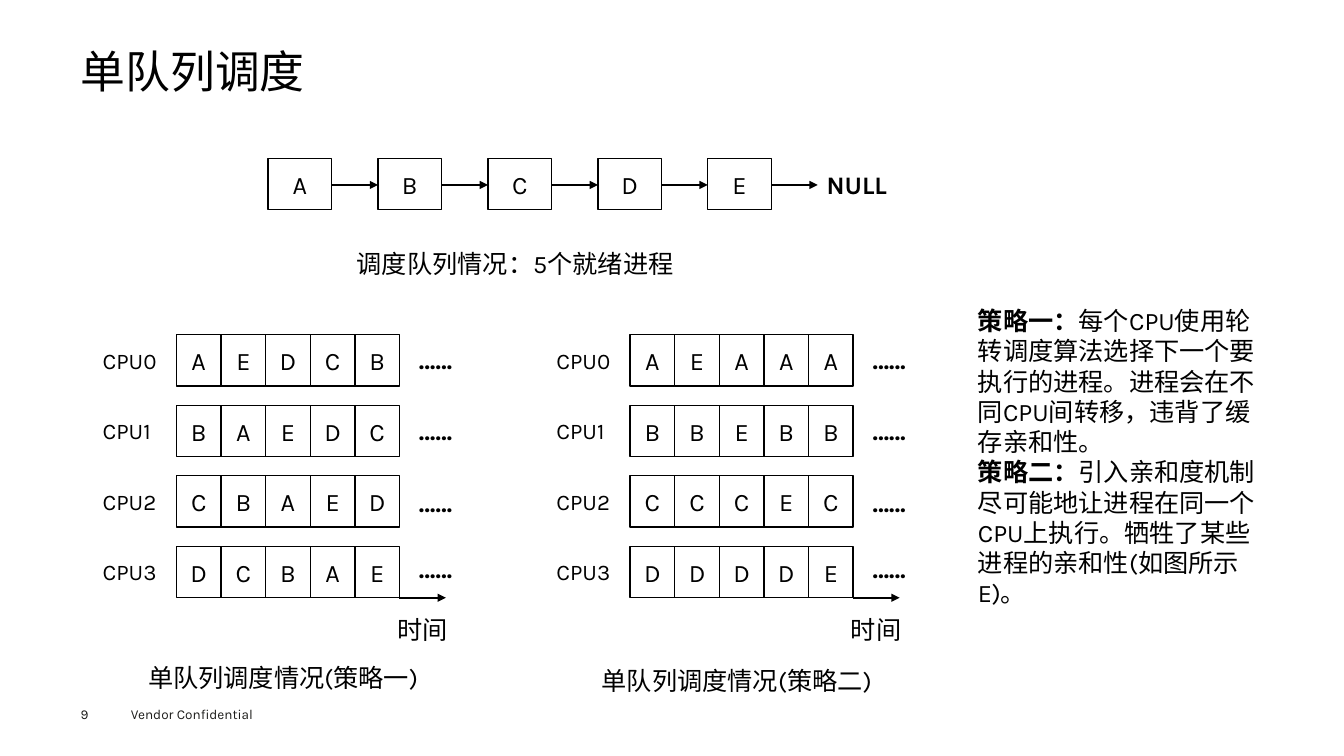
from lxml import etree
from pptx import Presentation
from pptx.dml.color import RGBColor
from pptx.enum.shapes import MSO_CONNECTOR, MSO_SHAPE
from pptx.enum.text import MSO_ANCHOR, MSO_AUTO_SIZE, PP_ALIGN
from pptx.oxml.ns import qn
from pptx.util import Inches, Pt

BLACK = RGBColor(0x00, 0x00, 0x00)
FOOTER_INK = RGBColor(0x1D, 0x1D, 0x1B)
FONT = "Karla"

BOX_HEIGHT = 0.51
QUEUE_LEFT, QUEUE_TOP, QUEUE_STEP, QUEUE_BOX = 2.66, 1.57, 1.09, 0.63
CELL_WIDTH = 0.4425
ROW_TOP, ROW_STEP = 3.32, 0.7
DOTS_TOPS = (3.37, 4.07, 4.78, 5.44)

STRATEGIES = [
    # left edge of the grid, order on each CPU, caption, caption top
    (1.75, ("AEDCB", "BAEDC", "CBAED", "DCBAE"), "单队列调度情况(策略一)", 6.52),
    (6.25, ("AEAAA", "BBEBB", "CCCEC", "DDDDE"), "单队列调度情况(策略二)", 6.55),
]
NOTES = [
    ("策略一：", "每个CPU使用轮转调度算法选择下一个要执行的进程。"
               "进程会在不同CPU间转移，违背了缓存亲和性。"),
    ("策略二：", "引入亲和度机制尽可能地让进程在同一个CPU上执行。"
               "牺牲了某些进程的亲和性(如图所示E)。"),
]


def style_span(span, size, bold=False, color=BLACK):
    font = span.font
    font.name, font.size, font.bold = FONT, Pt(size), bold
    font.color.rgb = color
    latin = span._r.get_or_add_rPr().find(qn("a:latin"))
    east_asian = etree.Element(qn("a:ea"), typeface=FONT)
    latin.addnext(east_asian)


def style_para(para, size, align=PP_ALIGN.LEFT, bold=False, color=BLACK):
    para.alignment = align
    for span in para.runs:
        style_span(span, size, bold, color)


def clear_margins(frame):
    frame.margin_left = frame.margin_right = 0
    frame.margin_top = frame.margin_bottom = 0


def add_frame(page, left, top, width, height):
    """Add an empty wrapping text box and return its text frame."""
    box = page.shapes.add_textbox(
        Inches(left), Inches(top), Inches(width), Inches(height))
    frame = box.text_frame
    frame.word_wrap = True
    frame.auto_size = MSO_AUTO_SIZE.SHAPE_TO_FIT_TEXT
    frame.vertical_anchor = MSO_ANCHOR.MIDDLE
    return frame


def add_label(page, text, left, top, width, height=0.4, size=18, **style):
    frame = add_frame(page, left, top, width, height)
    frame.text = text
    style_para(frame.paragraphs[0], size, **style)
    return frame


def add_process(page, name, left, top, width):
    box = page.shapes.add_shape(
        MSO_SHAPE.RECTANGLE,
        Inches(left), Inches(top), Inches(width), Inches(BOX_HEIGHT))
    box.shadow.inherit = False
    box.fill.background()
    box.line.color.rgb = BLACK
    box.line.width = Pt(1)
    box.text_frame.text = name
    box.text_frame.vertical_anchor = MSO_ANCHOR.MIDDLE
    style_para(box.text_frame.paragraphs[0], 18, PP_ALIGN.CENTER)


def add_arrow(page, left, y, length=0.46):
    arrow = page.shapes.add_connector(
        MSO_CONNECTOR.STRAIGHT,
        Inches(left), Inches(y), Inches(left + length), Inches(y))
    arrow.line.color.rgb = BLACK
    arrow.line.width = Pt(1.75)
    etree.SubElement(arrow.line._get_or_add_ln(), qn("a:tailEnd"), type="triangle")
    etree.SubElement(arrow._element.spPr, qn("a:effectLst"))


def add_title(page, text):
    title = page.shapes.title
    title.left, title.top = Inches(0.8), Inches(0.49)
    title.width, title.height = Inches(11.73), Inches(0.54)
    frame = title.text_frame
    frame.text = text
    frame.auto_size = MSO_AUTO_SIZE.NONE
    frame.vertical_anchor = MSO_ANCHOR.TOP
    clear_margins(frame)
    frame.paragraphs[0].line_spacing = 0.9
    style_para(frame.paragraphs[0], 32)


def add_queue(page):
    for index, name in enumerate("ABCDE"):
        left = QUEUE_LEFT + index * QUEUE_STEP
        add_process(page, name, left, QUEUE_TOP, QUEUE_BOX)
        add_arrow(page, left + QUEUE_BOX, QUEUE_TOP + BOX_HEIGHT / 2 + 0.01)
    add_label(page, "NULL", 8.1, 1.63, 0.87, bold=True)
    add_label(page, "调度队列情况：5个就绪进程", 3.44, 2.41, 3.45)


def add_schedule(page, left, orders, caption, caption_top):
    """Draw one strategy: a row of time slots for each CPU."""
    for cpu, (order, dots_top) in enumerate(zip(orders, DOTS_TOPS)):
        top = ROW_TOP + cpu * ROW_STEP
        for slot, name in enumerate(order):
            add_process(page, name, left + slot * CELL_WIDTH, top, CELL_WIDTH)
        add_label(page, f"CPU{cpu}", left - 0.83, top + 0.07, 0.82, 0.37, size=16)
        add_label(page, "……", left + 2.16, dots_top, 0.82,
                  align=PP_ALIGN.CENTER, bold=True)
    add_arrow(page, left + 5 * CELL_WIDTH, 5.93)
    add_label(page, "时间", left + 2.03, 6.04, 0.82, align=PP_ALIGN.CENTER)
    add_label(page, caption, left - 0.38, caption_top, 2.94)


def add_notes(page):
    frame = add_frame(page, 9.6, 3.12, 3.07, 2.82)
    for index, (heading, body) in enumerate(NOTES):
        para = frame.add_paragraph() if index else frame.paragraphs[0]
        for text, bold in ((heading, True), (body, False)):
            span = para.add_run()
            span.text = text
            style_span(span, 18, bold)


def add_footer(page):
    add_label(page, "Vendor Confidential", 1.2, 6.95, 1.6, 0.27,
              size=9.7, color=FOOTER_INK)
    number = add_label(page, "9", 0.8, 7, 0.55, 0.16, size=9.7, color=FOOTER_INK)
    clear_margins(number)


def main():
    deck = Presentation()
    deck.slide_width, deck.slide_height = Inches(13.33), Inches(7.5)
    page = deck.slides.add_slide(deck.slide_layouts.get_by_name("Title Only"))
    add_title(page, "单队列调度")
    add_queue(page)
    for strategy in STRATEGIES:
        add_schedule(page, *strategy)
    add_notes(page)
    add_footer(page)
    deck.save("out.pptx")


if __name__ == "__main__":
    main()
